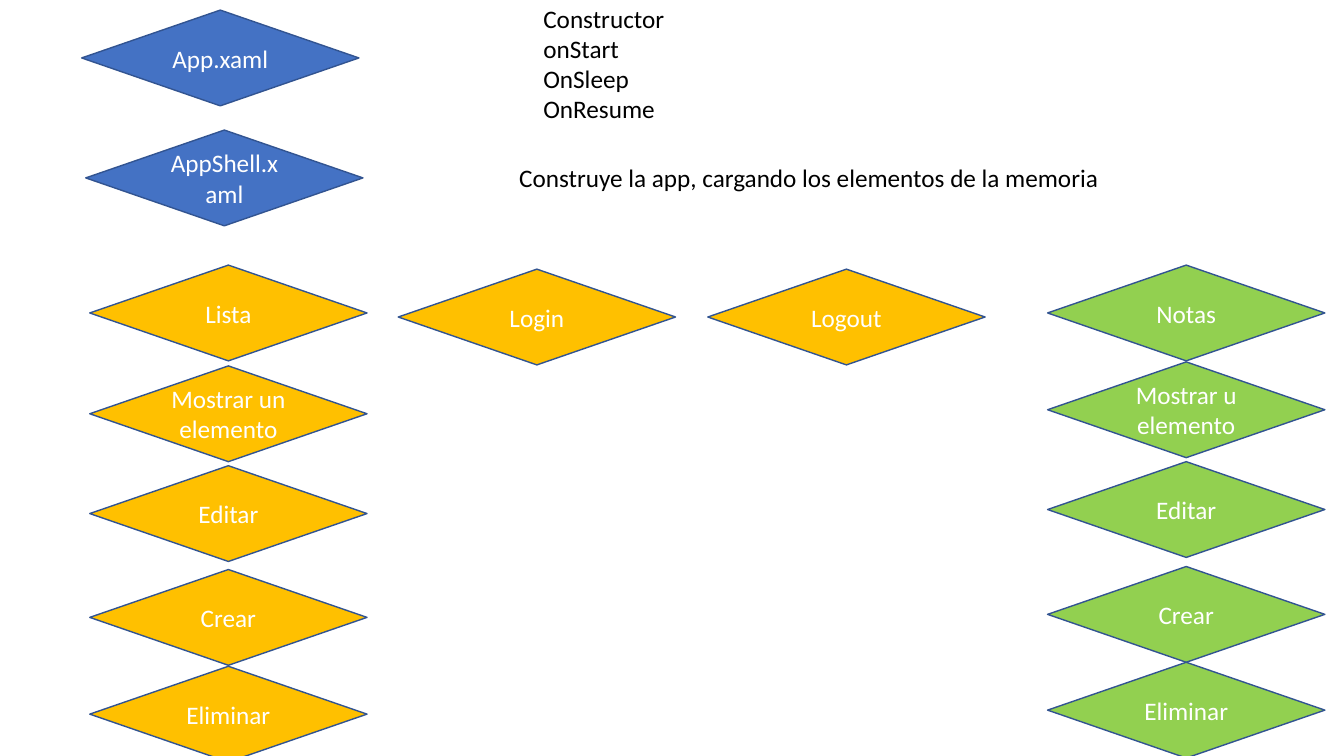
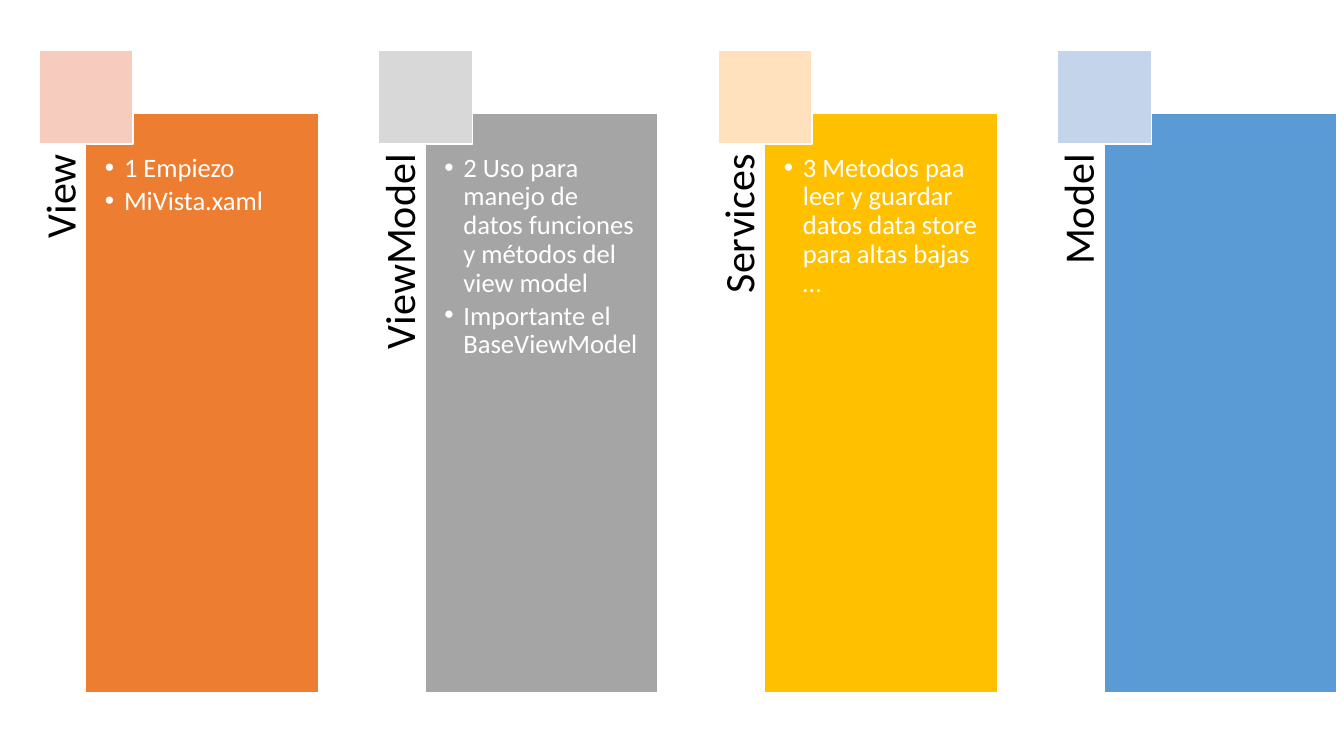
from pptx import Presentation
from pptx.dml.color import RGBColor
from pptx.enum.shapes import MSO_SHAPE as Preset
from pptx.enum.text import MSO_ANCHOR as Anchor, MSO_AUTO_SIZE as Fit, PP_ALIGN as Align
from pptx.oxml.ns import qn
from pptx.util import Inches, Pt
from lxml.etree import SubElement

COLORS = {
    "white": "FFFFFF", "black": "000000", "outline": "325491",
    "app": "4472C4", "list": "FFC000", "notes": "92D050",
    "view": "ED7D31", "view_tab": "F6CCBE",
    "view_model": "A5A5A5", "view_model_tab": "D8D8D8",
    "services": "FFC000", "services_tab": "FFE2BD",
    "model": "5B9BD5", "model_tab": "C4D5EB",
}
DIAMOND = (2.75, 0.95)
PANEL = (2.31, 5.75)
TAB = 0.93
HEADING_DEPTH = 0.46
BULLET_INDENT = 0.19
LABEL_FRAME = {"word_wrap": True, "vertical_anchor": Anchor.MIDDLE}
NOTE_FRAME = {"word_wrap": False, "auto_size": Fit.SHAPE_TO_FIT_TEXT}
HEADING_FRAME = {
    "word_wrap": True, "auto_size": Fit.NONE, "vertical_anchor": Anchor.TOP,
    "margin_left": 0, "margin_top": 0, "margin_right": Inches(0.41), "margin_bottom": 0,
}
LIST_FRAME = HEADING_FRAME | {
    "margin_left": Inches(0.19), "margin_top": Inches(0.41),
    "margin_right": Inches(0.19), "margin_bottom": Inches(0.19),
}
LABEL_PARAGRAPH = {"alignment": Align.CENTER}
HEADING_PARAGRAPH = {"alignment": Align.RIGHT, "line_spacing": 0.9}
LIST_PARAGRAPH = {
    "alignment": Align.LEFT, "line_spacing": 0.9,
    "space_before": Pt(0), "space_after": Pt(3),
}


def apply(target, values):
    """Set every attribute named in values on target."""
    for name, value in values.items():
        setattr(target, name, value)


def rgb(color):
    """Look up a named colour."""
    return RGBColor.from_string(COLORS[color])


def box(left, top, width, height):
    """Return the position and size values of a box given in inches."""
    return {"left": Inches(left), "top": Inches(top),
            "width": Inches(width), "height": Inches(height)}


def write(shape, lines, size, color, frame_format, paragraph_format):
    """Write one formatted paragraph per line and return the paragraphs."""
    frame = shape.text_frame
    frame.text = "\n".join(lines)
    apply(frame, frame_format)
    for paragraph in frame.paragraphs:
        apply(paragraph, paragraph_format)
        for run in paragraph.runs:
            apply(run.font, {"name": "Calibri", "size": Pt(size), "bold": False})
            run.font.color.rgb = rgb(color)
    return frame.paragraphs


def paint(shape, fill, line):
    """Give a shape a flat fill and a one point outline."""
    shape.fill.solid()
    shape.fill.fore_color.rgb = rgb(fill)
    shape.line.color.rgb = rgb(line)
    shape.line.width = Pt(1)


def add_flat(slide, preset, bounds, fill, line):
    """Add a preset shape without a shadow."""
    shape = slide.shapes.add_shape(preset, *bounds.values())
    shape.shadow.inherit = False
    paint(shape, fill, line)
    return shape


def add_step(slide, left, top, label, fill):
    """Add one labelled diamond."""
    step = add_flat(slide, Preset.DIAMOND, box(left, top, *DIAMOND), fill, "outline")
    write(step, [label], 18, "white", LABEL_FRAME, LABEL_PARAGRAPH)


def add_step_column(slide, left, tops, labels, fill):
    """Add a column of diamonds, one at each top."""
    for top, label in zip(tops, labels):
        add_step(slide, left, top, label, fill)


def add_note(slide, bounds, lines):
    """Add unwrapped explanatory text."""
    note = slide.shapes.add_textbox(*bounds.values())
    write(note, lines, 18, "black", NOTE_FRAME, {})


def add_bullets(panel, items):
    """Write a bulleted list into a panel."""
    for paragraph in write(panel, items, 19, "white", LIST_FRAME, LIST_PARAGRAPH):
        properties = paragraph._p.get_or_add_pPr()
        properties.set("marL", str(Inches(BULLET_INDENT)))
        properties.set("indent", str(-Inches(BULLET_INDENT)))
        SubElement(properties, qn("a:buFont"), typeface="Arial")
        SubElement(properties, qn("a:buChar"), char="\u2022")


def add_layer(slide, left, top, heading, color, items, body):
    """Add an architecture layer: sideways heading, list panel and corner tab."""
    width, height = PANEL
    title = slide.shapes.add_textbox(*box(
        left - (HEADING_DEPTH + height) / 2, top + (height - HEADING_DEPTH) / 2,
        height, HEADING_DEPTH).values())
    title.rotation = 270
    write(title, [heading], 30, "black", HEADING_FRAME, HEADING_PARAGRAPH)
    bounds = box(left, top, width, height)
    if items:
        apply(body, bounds)
        paint(body, color, "white")
        add_bullets(body, items)
    else:
        add_flat(slide, Preset.RECTANGLE, bounds, color, "white")
    add_flat(slide, Preset.RECTANGLE, box(left - 0.46, top - 0.62, TAB, TAB),
             f"{color}_tab", "white")


def build_app_flow(deck):
    """Build the slide with the app's start-up and its pages."""
    slide = deck.slides.add_slide(deck.slide_layouts[6])
    add_step(slide, 0.81, 0.1, "App.xaml", "app")
    add_note(slide, box(5.29, -0.02, 1.41, 1.31),
             ["Constructor", "onStart", "OnSleep", "OnResume"])
    add_step(slide, 0.85, 1.29, "AppShell.xaml", "app")
    add_note(slide, box(5.05, 1.56, 6.05, 0.4),
             ["Construye la app, cargando los elementos de la memoria"])
    for left, label in ((3.95, "Login"), (7.02, "Logout")):
        add_step(slide, left, 2.67, label, "list")
    actions = ["Editar", "Crear", "Eliminar"]
    add_step_column(slide, 0.89, (2.63, 3.63, 4.62, 5.65, 6.61),
                    ["Lista", "Mostrar un elemento", *actions], "list")
    add_step_column(slide, 10.39, (2.63, 3.59, 4.58, 5.62, 6.57),
                    ["Notas", "Mostrar u elemento", *actions], "notes")


def build_layers(deck):
    """Build the slide with the four architecture layers."""
    slide = deck.slides.add_slide(deck.slide_layouts[4])
    title, *bodies = list(slide.placeholders)
    layers = [
        ("View", "view", ["1 Empiezo", "MiVista.xaml"]),
        ("ViewModel", "view_model", [
            "2 Uso para manejo de datos funciones y métodos del view model",
            "Importante el BaseViewModel"]),
        ("Services", "services", [
            "3 Metodos paa leer y guardar datos data store para altas bajas …"]),
        ("Model", "model", []),
    ]
    first_left, last_left = 0.85, 10.95
    pitch = (last_left - first_left) / (len(layers) - 1)
    for index, (layer, body) in enumerate(zip(layers, bodies)):
        add_layer(slide, first_left + index * pitch, 1.12, *layer, body)
    for placeholder in (title, *bodies):
        if not placeholder.text_frame.text:
            placeholder.element.getparent().remove(placeholder.element)


def main():
    """Build and save the presentation."""
    deck = Presentation()
    apply(deck, {"slide_width": Inches(13.33), "slide_height": Inches(7.5)})
    build_app_flow(deck)
    build_layers(deck)
    deck.save("out.pptx")


main()
